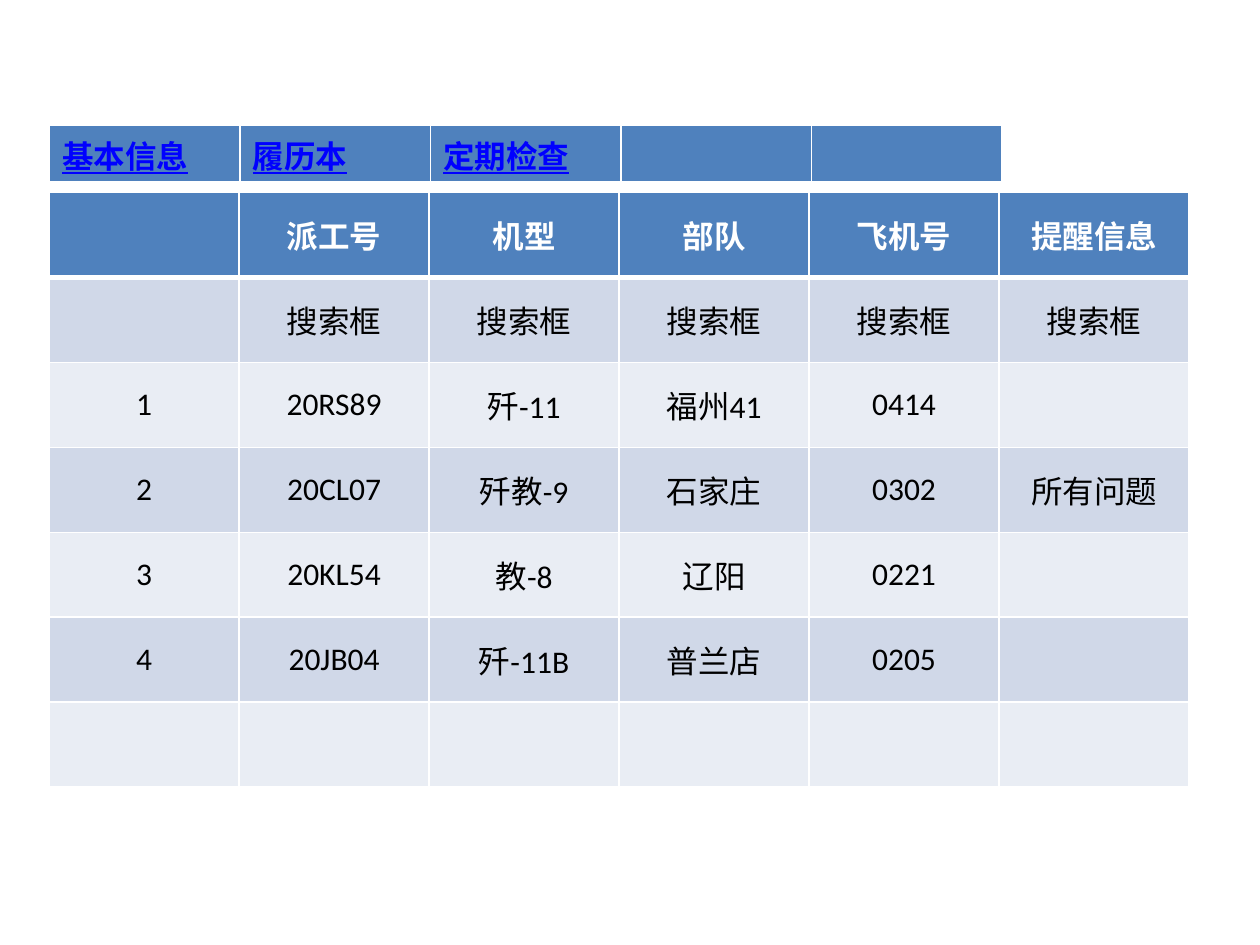
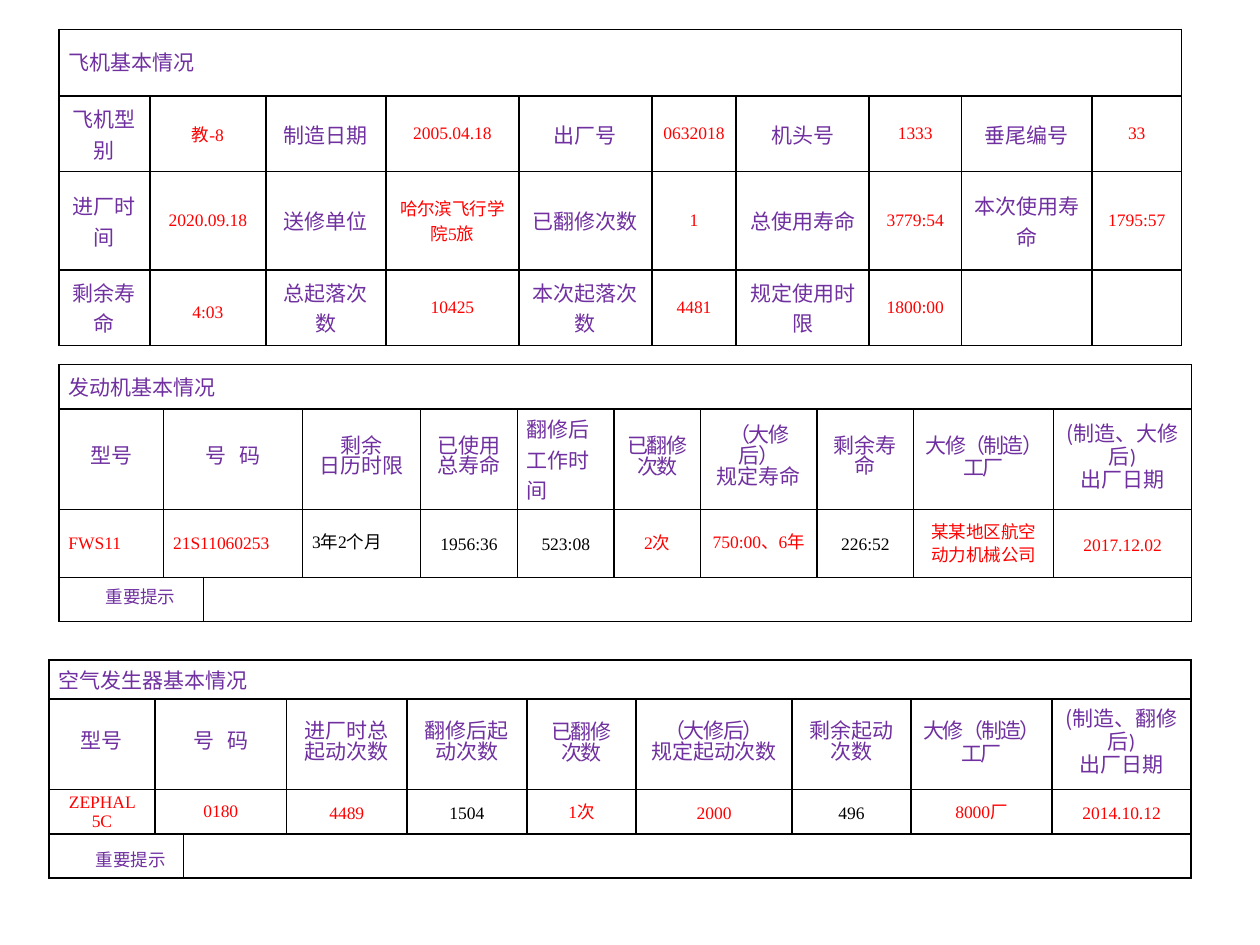
"""Build the aircraft overhaul slides: dispatch list and basic records."""
from lxml import etree
from pptx import Presentation
from pptx.dml.color import RGBColor
from pptx.enum import text as t
from pptx.oxml.ns import qn
from pptx.util import Cm, Pt

WHITE = RGBColor(0xFF, 0xFF, 0xFF)
BLACK = RGBColor(0, 0, 0)
RED = RGBColor(0xFF, 0, 0)
PURPLE = RGBColor(0x70, 0x30, 0xA0)
LINK_BLUE = RGBColor(0, 0, 0xFF)
HEADER_BLUE = RGBColor(0x4F, 0x81, 0xBD)
BANDS = (RGBColor(0xD0, 0xD8, 0xE8), RGBColor(0xE9, 0xED, 0xF4))
LATIN, SERIF, CJK = "Calibri", "Times New Roman", "Noto Sans CJK SC"
LEFT, CENTER, JUSTIFY = t.PP_ALIGN.LEFT, t.PP_ALIGN.CENTER, t.PP_ALIGN.JUSTIFY

SECTIONS = ["基本信息", "履历本", "定期检查", "", ""]
DISPATCH = [
    ["", "派工号", "机型", "部队", "飞机号", "提醒信息"],
    [""] + ["搜索框"] * 5,
    ["1", "20RS89", "歼-11", "福州41", "0414", ""],
    ["2", "20CL07", "歼教-9", "石家庄", "0302", "所有问题"],
    ["3", "20KL54", "教-8", "辽阳", "0221", ""],
    ["4", "20JB04", "歼-11B", "普兰店", "0205", ""],
    [""] * 6,
]
AIRCRAFT_TITLE = "飞机基本情况"
AIRCRAFT = [
    ["飞机型别", "教-8", "制造日期", "2005.04.18", "出厂号", "0632018",
     "机头号", "1333", "垂尾编号", "33"],
    ["进厂时间", "2020.09.18", "送修单位", "哈尔滨飞行学院5旅", "已翻修次数", "1",
     "总使用寿命", "3779:54", "本次使用寿命", "1795:57"],
    ["剩余寿命", "4:03", "总起落次数", "10425", "本次起落次数", "4481",
     "规定使用时限", "1800:00", "", ""],
]
NOTICE = "重要提示"
ENGINE = {
    "title": "发动机基本情况",
    "at": (1.19, 7.35),
    "widths": [2.11, 0.8, 2, 2.38, 1.95, 1.95, 1.74, 2.35, 1.95, 2.82, 2.78],
    "heights": [0.89, 2.03, 1.37, 0.89],
    "notice_anchor": t.MSO_ANCHOR.TOP,
    "fields": [
        ("型号", "FWS11", RED, JUSTIFY, None),
        ("号 码", "21S11060253", RED, JUSTIFY, None),
        ("剩余\n日历时限", "3年2个月", BLACK, JUSTIFY, 12),
        ("已使用\n总寿命", "1956:36", BLACK, CENTER, 12),
        ("翻修后工作时间", "523:08", BLACK, CENTER, 12),
        ("已翻修\n次数", "2次", RED, CENTER, 13),
        ("（大修后）\n规定寿命", "750:00、6年", RED, CENTER, 12),
        ("剩余寿命", "226:52", BLACK, CENTER, 12),
        ("大修（制造）工厂", "某某地区航空动力机械公司", RED, CENTER, 13),
        ("(制造、大修后)\n出厂日期", "2017.12.02", RED, CENTER, 13),
    ],
}
AIR_GENERATOR = {
    "title": "空气发生器基本情况",
    "at": (0.99, 13.3),
    "widths": [2.13, 0.58, 2.08, 2.42, 2.42, 2.2, 3.15, 2.39, 2.85, 2.8],
    "heights": [0.79, 1.83, 0.89, 0.89],
    "notice_anchor": t.MSO_ANCHOR.MIDDLE,
    "fields": [
        ("型号", "ZEPHAL 5C", RED, CENTER, None),
        ("号 码", "0180", RED, CENTER, None),
        ("进厂时总起动次数", "4489", RED, CENTER, 13),
        ("翻修后起动次数", "1504", BLACK, CENTER, 13),
        ("已翻修\n次数", "1次", RED, CENTER, 13),
        ("（大修后）\n规定起动次数", "2000", RED, CENTER, 13),
        ("剩余起动次数", "496", BLACK, CENTER, 13),
        ("大修（制造）工厂", "8000厂", RED, CENTER, 13),
        ("(制造、翻修后)\n出厂日期", "2014.10.12", RED, CENTER, 13),
    ],
}
LEADINGS = {"已翻修": 13, "大修（制造）工厂": 13, "出厂日期": 13,
            "(制造、大修后)": 13, "(制造、翻修后)": 13, "翻修后工作时间": None}
TRACKING = {"已翻修": -1, "次数": -1, "（大修后）": -0.8, "大修（制造）工厂": -1,
            "号 码": 2.5}


def add_grid(slide, at, widths, heights):
    """Add an unstyled table with the given column widths and row heights."""
    table = slide.shapes.add_table(
        len(heights), len(widths), Cm(at[0]), Cm(at[1]),
        Cm(sum(widths)), Cm(sum(heights))).table
    table.first_row = table.horz_banding = False
    for column, width in zip(table.columns, widths):
        column.width = Cm(width)
    for row, height in zip(table.rows, heights):
        row.height = Cm(height)
    return table


def frame_cell(cell, colour, fill=None, top=1, bottom=1):
    """Draw the four borders of a cell and set its fill."""
    properties = cell._tc.get_or_add_tcPr()
    for side, width in (("L", 1), ("R", 1), ("T", top), ("B", bottom)):
        line = etree.SubElement(properties, qn("a:ln" + side), w=str(Pt(width)))
        solid = etree.SubElement(line, qn("a:solidFill"))
        etree.SubElement(solid, qn("a:srgbClr"), val=str(colour))
    if fill is None:
        cell.fill.background()
    else:
        cell.fill.solid()
        cell.fill.fore_color.rgb = fill


def write(cell, words, size, colour, font=LATIN, align=CENTER, leading=None,
          bold=False, underline=False, anchor=t.MSO_ANCHOR.MIDDLE):
    """Write one paragraph per line of words into a cell."""
    cell.vertical_anchor = anchor
    frame = cell.text_frame
    for number, line in enumerate(words.split("\n")):
        paragraph = frame.add_paragraph() if number else frame.paragraphs[0]
        paragraph.alignment = align
        spacing = LEADINGS.get(line, leading)
        if spacing:
            paragraph.line_spacing = spacing if spacing < 5 else Pt(spacing)
        style = paragraph.font
        style.size, style.bold, style.underline = Pt(size), bold, underline
        style.color.rgb = colour
        style.name = font
        etree.SubElement(style._element, qn("a:ea"), typeface=CJK)
        if line in TRACKING:
            style._element.set("spc", str(int(TRACKING[line] * 100)))
        if line.startswith("("):
            bracket = paragraph.add_run()
            bracket.text, line = line[0], line[1:]
            bracket.font.name = CJK
        if line:
            paragraph.add_run().text = line


def add_record(slide, at, widths, heights, title, leading=None, align=LEFT):
    """Add a black-ruled record table with its title across the first row."""
    table = add_grid(slide, at, widths, heights)
    for cell in table.iter_cells():
        frame_cell(cell, BLACK)
        cell.margin_left = cell.margin_right = Cm(0.19)
        cell.margin_top = cell.margin_bottom = 0
    table.cell(0, 0).merge(table.cell(0, len(widths) - 1))
    write(table.cell(0, 0), title, 12, PURPLE, align=align, leading=leading)
    return table


def add_component(slide, part):
    """Add the record table of one component, ending in a notice row."""
    table = add_record(slide, part["at"], part["widths"], part["heights"], part["title"])
    last = len(part["widths"]) - 1
    for row in (1, 2):
        table.cell(row, 1).merge(table.cell(row, 2))
    for number, (label, value, colour, align, leading) in enumerate(part["fields"]):
        column = number if number < 2 else number + 1
        label_align = LEFT if label == "翻修后工作时间" else CENTER
        write(table.cell(1, column), label, 12, PURPLE, align=label_align, leading=12)
        write(table.cell(2, column), value, 10, colour, SERIF, align, leading)
    notice, remark = table.cell(3, 0), table.cell(3, 2)
    notice.merge(table.cell(3, 1))
    remark.merge(table.cell(3, last))
    write(notice, NOTICE, 10, PURPLE, align=JUSTIFY, leading=18,
          anchor=part["notice_anchor"])
    indents = notice.text_frame.paragraphs[0]._p.get_or_add_pPr()
    indents.set("marL", str(Cm(2.22)))
    indents.set("indent", str(Cm(-1.47)))
    write(remark, "", 10, BLACK)


def build_dispatch(slide):
    """Fill the slide with the section bar and the dispatch list."""
    bar = add_grid(slide, (1, 2.53), [3.84] * len(SECTIONS), [1.07])
    for cell, section in zip(bar.iter_cells(), SECTIONS):
        frame_cell(cell, WHITE, HEADER_BLUE, bottom=3)
        write(cell, section, 18, LINK_BLUE, align=LEFT, bold=True, underline=True,
              anchor=t.MSO_ANCHOR.TOP)
    heights = [1.72] + [1.71] * (len(DISPATCH) - 1)
    jobs = add_grid(slide, (0.99, 3.88), [3.83] * 6, heights)
    for row, entries in enumerate(DISPATCH):
        header = row == 0
        fill = HEADER_BLUE if header else BANDS[(row - 1) % 2]
        for column, entry in enumerate(entries):
            cell = jobs.cell(row, column)
            frame_cell(cell, WHITE, fill, top=3 if row == 1 else 1,
                       bottom=3 if header else 1)
            write(cell, entry, 18, WHITE if header else BLACK, bold=header)


def build_records(slide):
    """Fill the slide with the aircraft, engine and air generator records."""
    widths = [1.83, 2.34, 2.42, 2.68, 2.68, 1.7, 2.68, 1.86, 2.63, 1.81]
    aircraft = add_record(slide, (1.19, 0.59), widths, [1.35, 1.52, 1.98, 1.52],
                          AIRCRAFT_TITLE, 16, JUSTIFY)
    for row, entries in enumerate(AIRCRAFT, 1):
        for column, entry in enumerate(entries):
            cell = aircraft.cell(row, column)
            if column % 2:
                write(cell, entry, 10, RED, SERIF,
                      leading=1.5 if entry == "4:03" else None)
            else:
                write(cell, entry, 12, PURPLE)
    for part in (ENGINE, AIR_GENERATOR):
        add_component(slide, part)


def main():
    """Create and save the presentation."""
    deck = Presentation()
    deck.slide_width, deck.slide_height = Cm(25.4), Cm(19.05)
    for build in (build_dispatch, build_records):
        build(deck.slides.add_slide(deck.slide_layouts[6]))
    deck.save("out.pptx")


if __name__ == "__main__":
    main()
